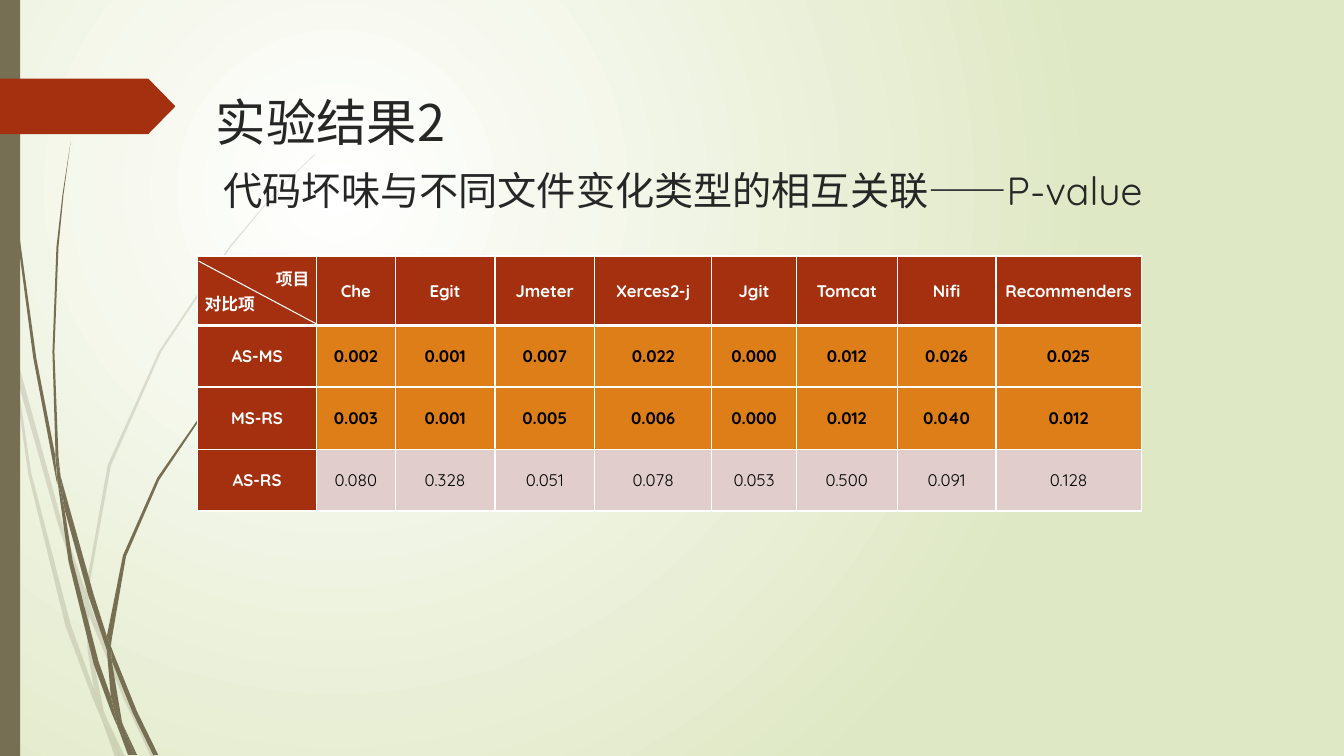
import pptx
import pptx.util
import pptx.dml.color
import pptx.enum.lang
import pptx.enum.shapes
import pptx.enum.text
import pptx.oxml.ns
from lxml import etree

Inches, Pt = pptx.util.Inches, pptx.util.Pt
RGBColor = pptx.dml.color.RGBColor
ALIGN = pptx.enum.text.PP_ALIGN
qn = pptx.oxml.ns.qn

WHITE = RGBColor(0xFF, 0xFF, 0xFF)
BLACK = RGBColor(0, 0, 0)
INK = RGBColor(0x26, 0x26, 0x26)
PALE_GREEN = RGBColor(0xDF, 0xE8, 0xC4)
OLIVE = RGBColor(0x76, 0x6F, 0x54)
RUST = RGBColor(0xA5, 0x30, 0x10)
ORANGE = RGBColor(0xDE, 0x7E, 0x18)
PINK = RGBColor(0xE1, 0xCD, 0xCC)
LATIN_FONT, HAN_FONT = "Quicksand", "Noto Sans CJK SC"


def style_text(paragraph, size, color, font_name, bold=False):
    for run in paragraph.runs:
        run.font.size, run.font.bold, run.font.name = Pt(size), bold, font_name
        run.font.color.rgb = color
        run.font.language_id = pptx.enum.lang.MSO_LANGUAGE_ID.SIMPLIFIED_CHINESE
        etree.SubElement(run.font._element, qn("a:ea"), typeface=HAN_FONT)


def paint(shape, color):
    shape.shadow.inherit = False
    shape.fill.solid()
    shape.fill.fore_color.rgb = color
    shape.line.fill.background()


deck = pptx.Presentation()
deck.slide_width, deck.slide_height = Inches(13.33), Inches(7.5)
slide = deck.slides.add_slide(deck.slide_layouts[6])

backdrop = slide.background.fill
backdrop.gradient()
for stop, position, color in zip(backdrop.gradient_stops, (0, 1), (WHITE, PALE_GREEN)):
    stop.position, stop.color.rgb = position, color
gradient = slide.background._cSld.find(".//" + qn("a:gradFill"))
gradient.remove(gradient.find(qn("a:lin")))
glow = etree.SubElement(gradient, qn("a:path"), path="circle")
etree.SubElement(glow, qn("a:fillToRect"), l="50000", t="50000", r="100000", b="100000")

faint_grass = [
    [(0.11, 3.5), (0.09, 3.22), (0, 2.82), (0, 2.99), (0.1, 3.44)],
    [(0.58, 5.22), (0.84, 5.99), (0.85, 5.86), (0.62, 5.2), (0.14, 3.45), (0.17, 3.76)],
    [(0.92, 6.07), (0.88, 5.96), (0.88, 6.1), (1.23, 6.94), (1.5, 7.51), (1.55, 7.51), (1.27, 6.92)],
    [(1.19, 7.51), (1.24, 7.51), (1.05, 7.11)],
    [(0.93, 6.83), (0.7, 6.19), (0.31, 4.69), (0.17, 3.76), (0.11, 3.5), (0.28, 4.7),
     (0.65, 6.21), (0.92, 6.93), (1.01, 7.14), (0.99, 7.07)],
    [(0.84, 5.99), (0.87, 6.46), (0.93, 6.83), (0.96, 6.92), (1.05, 7.11), (1.03, 7.06),
     (0.91, 6.46), (0.88, 6.1), (0.88, 6.08)],
    [(0.88, 5.84), (1.1, 4.62), (1.6, 3.49), (2.29, 2.45), (2.68, 1.98), (2.9, 1.75), (3.12, 1.54),
     (3.12, 1.53), (2.89, 1.75), (2.68, 1.97), (2.28, 2.44), (1.58, 3.48), (1.07, 4.61),
     (0.85, 5.84), (0.85, 5.86), (0.88, 5.96)],
    [(1.01, 7.14), (1.14, 7.51), (1.19, 7.51)],
    [(0.88, 6.08), (0.88, 6.1), (0.88, 5.96), (0.85, 5.86), (0.84, 5.99)],
    [(0.96, 6.92), (0.93, 6.83), (0.99, 7.07), (1.01, 7.14), (1.19, 7.51), (1.05, 7.11)],
]
dark_grass = [
    [(0.07, 1.1), (0.17, 2.33), (0.33, 3.55), (0.56, 4.77), (0.57, 4.81), (0.55, 4.57), (0.55, 4.53),
     (0.36, 3.55), (0.19, 2.32), (0.08, 1.09), (0.05, 0.48), (0.04, 0), (0.03, 0), (0.04, 0.48)],
    [(0.88, 5.92), (1.06, 6.45), (1.06, 6.33), (1.06, 6.31), (0.93, 5.9), (0.6, 4.72), (0.64, 5.05)],
    [(1.13, 6.49), (1.1, 6.41), (1.11, 6.56), (1.32, 7.08), (1.52, 7.49), (1.57, 7.49), (1.36, 7.06)],
    [(1.1, 6.91), (0.98, 6.57), (0.72, 5.56), (0.64, 5.05), (0.57, 4.77), (0.68, 5.57),
     (0.93, 6.59), (1.11, 7.08), (1.17, 7.22), (1.16, 7.17)],
    [(0.6, 4.72), (0.58, 4.53), (0.54, 3.49), (0.58, 2.45), (0.63, 1.93), (0.7, 1.41),
     (0.62, 1.93), (0.56, 2.45), (0.52, 3.49), (0.55, 4.49)],
    [(1.33, 7.49), (1.36, 7.49), (1.22, 7.19)],
    [(0.57, 4.77), (0.64, 5.05), (0.6, 4.72), (0.55, 4.49), (0.55, 4.53)],
    [(1.11, 6.33), (1.25, 5.52), (1.58, 4.76), (2.05, 4.06), (2.31, 3.74), (2.45, 3.59), (2.61, 3.44),
     (2.6, 3.44), (2.45, 3.58), (2.31, 3.73), (2.04, 4.05), (1.56, 4.74), (1.22, 5.51),
     (1.06, 6.31), (1.1, 6.41)],
    [(1.17, 7.22), (1.27, 7.49), (1.31, 7.49)],
    [(1.06, 6.45), (1.1, 6.91), (1.16, 7.06), (1.22, 7.19), (1.21, 7.16), (1.11, 6.56), (1.09, 6.51)],
    [(1.06, 6.45), (1.09, 6.51), (1.11, 6.56), (1.1, 6.41), (1.06, 6.31), (1.06, 6.33)],
    [(1.16, 7.06), (1.1, 6.91), (1.16, 7.17), (1.17, 7.22), (1.3, 7.49), (1.33, 7.49), (1.22, 7.19)],
]
for blades, opacity in ((faint_grass, 20), (dark_grass, 100)):
    for outline in blades:
        points = [(Inches(x), Inches(y)) for x, y in outline]
        builder = slide.shapes.build_freeform(*points[0])
        builder.add_line_segments(points[1:], close=True)
        blade = builder.convert_to_shape()
        paint(blade, OLIVE)
        if opacity < 100:
            tint = blade._element.spPr.find(qn("a:solidFill"))[0]
            etree.SubElement(tint, qn("a:alpha"), val=str(opacity * 1000))

side_bar = slide.shapes.add_shape(
    pptx.enum.shapes.MSO_SHAPE.RECTANGLE, 0, 0, Inches(0.2), deck.slide_height)
paint(side_bar, OLIVE)
page_tag = slide.shapes.add_shape(
    pptx.enum.shapes.MSO_SHAPE.PENTAGON, 0, Inches(0.78), Inches(1.74), Inches(0.55))
page_tag.adjustments[0] = 0.49
paint(page_tag, RUST)

for words, left, top, height, size, font_name in [
    ("代码坏味与不同文件变化类型的相互关联——P-value", 2.12, 1.6, 0.77, 28, LATIN_FONT),
    ("实验结果2", 2.04, 0.85, 1.4, 36, HAN_FONT),
]:
    heading = slide.shapes.add_textbox(Inches(left), Inches(top), Inches(9.75), Inches(height))
    heading.text_frame.word_wrap = True
    heading.text_frame.text = words
    style_text(heading.text_frame.paragraphs[0], size, INK, font_name)

results = [
    ["项目\n对比项", "Che", "Egit", "Jmeter", "Xerces2-j", "Jgit", "Tomcat", "Nifi", "Recommenders"],
    ["AS-MS", "0.002", "0.001", "0.007", "0.022", "0.000", "0.012", "0.026", "0.025"],
    ["MS-RS", "0.003", "0.001", "0.005", "0.006", "0.000", "0.012", "0.040", "0.012"],
    ["AS-RS", "0.080", "0.328", "0.051", "0.078", "0.053", "0.500", "0.091", "0.128"],
]
column_widths = [1.18, 0.78, 0.99, 0.99, 1.16, 0.84, 1, 0.98, 1.44]
row_heights = [0.69, 0.61, 0.62, 0.61]
p_values = slide.shapes.add_table(
    len(row_heights), len(column_widths), Inches(1.96), Inches(2.54),
    Inches(sum(column_widths)), Inches(sum(row_heights))).table
for column, width in zip(p_values.columns, column_widths):
    column.width = Inches(width)
for r, (row, height) in enumerate(zip(p_values.rows, row_heights)):
    row.height = Inches(height)
    for c, cell in enumerate(row.cells):
        is_label = r == 0 or c == 0
        is_significant = r < 3
        cell.text_frame.text = results[r][c]
        cell.vertical_anchor = pptx.enum.text.MSO_ANCHOR.MIDDLE
        cell.margin_left = cell.margin_right = Inches(0.07)
        cell.margin_top = cell.margin_bottom = 0
        cell.fill.solid()
        cell.fill.fore_color.rgb = RUST if is_label else ORANGE if is_significant else PINK
        for paragraph in cell.text_frame.paragraphs:
            paragraph.alignment = ALIGN.CENTER
            style_text(paragraph, 12, WHITE if is_label else BLACK, LATIN_FONT,
                       is_label or is_significant)
        thick_side = {0: "lnB", 1: "lnT"}.get(r)
        for place, side in enumerate(("lnL", "lnR", "lnT", "lnB")):
            border = etree.Element(qn("a:" + side), w=str(Pt(3 if side == thick_side else 1)))
            border_fill = etree.SubElement(border, qn("a:solidFill"))
            etree.SubElement(border_fill, qn("a:srgbClr"), val=str(WHITE))
            cell._tc.tcPr.insert(place, border)
corner_lines = p_values.cell(0, 0).text_frame.paragraphs
corner_lines[0].alignment, corner_lines[1].alignment = ALIGN.RIGHT, ALIGN.JUSTIFY

corner_divider = slide.shapes.add_connector(
    pptx.enum.shapes.MSO_CONNECTOR.STRAIGHT, Inches(1.97), Inches(2.59), Inches(3.15), Inches(3.22))
corner_divider.line.color.rgb = WHITE
corner_divider.line.width = Pt(0.75)
etree.SubElement(corner_divider._element.spPr, qn("a:effectLst"))

deck.save("out.pptx")
